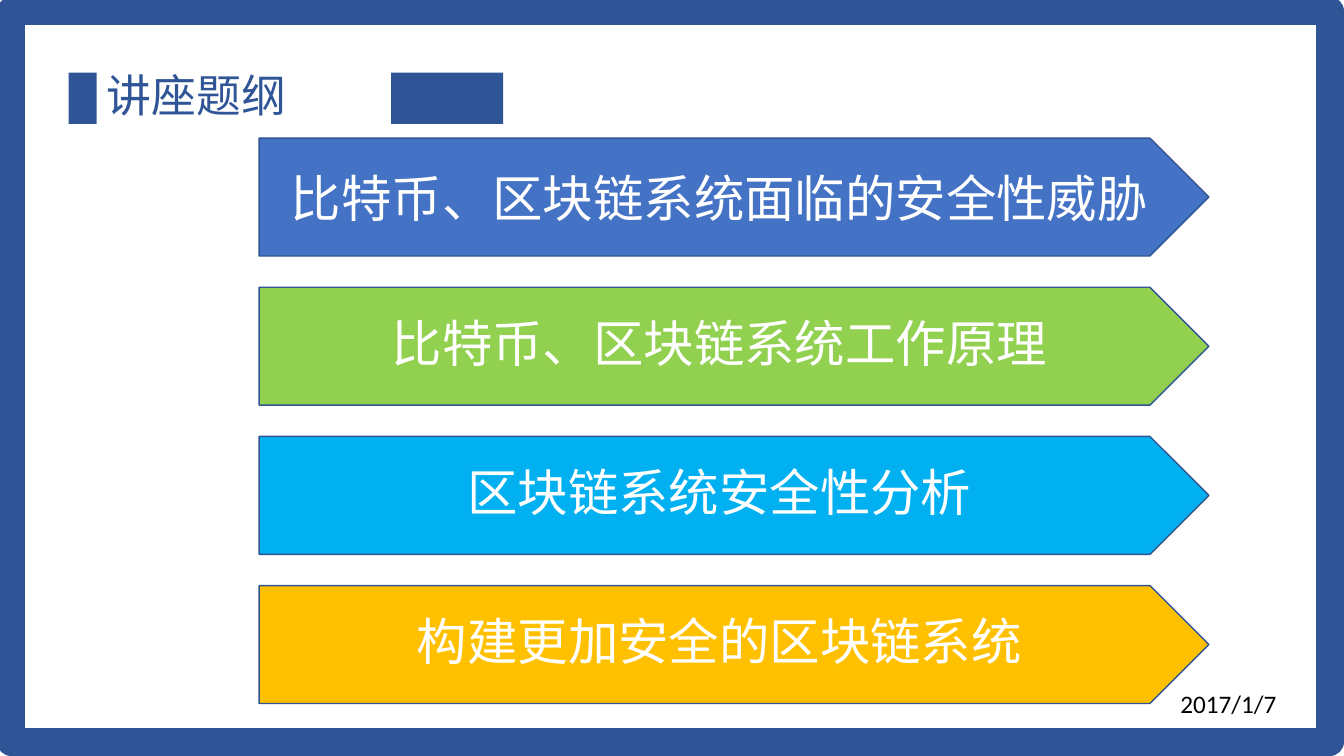
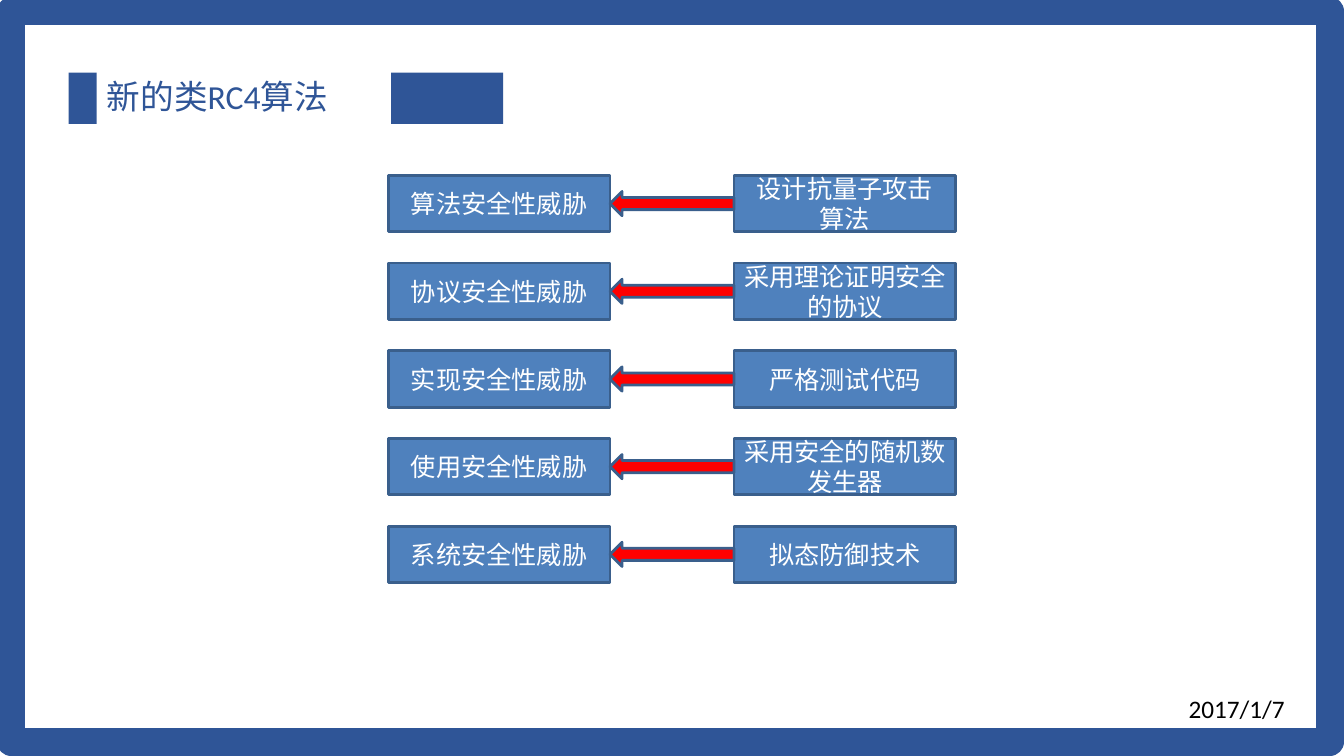
from pptx import Presentation
from pptx.dml.color import RGBColor
from pptx.enum.shapes import MSO_SHAPE
from pptx.enum.text import MSO_ANCHOR, MSO_AUTO_SIZE, PP_ALIGN
from pptx.util import Pt

SCALE = 9144  # EMU per px, 100 px to the inch


def px(*nums):
    return [num * SCALE for num in nums]


def hue(code):
    return RGBColor.from_string(code)


class Deck:
    FONT = "Calibri"
    NAVY, WHITE, BLACK = "2F5597", "FFFFFF", "000000"

    def __init__(self, wide, high):
        self.prs = Presentation()
        self.prs.slide_width, self.prs.slide_height = px(wide, high)
        self.slide = None

    def start(self, title, size, date, spot):
        """Add a slide with its frame, title bars, title and date."""
        self.slide = self.prs.slides.add_slide(self.prs.slide_layouts[5])
        for left, width in ((68, 28), (388, 111)):
            self.shape(MSO_SHAPE.RECTANGLE, (left, 72, width, 51), self.NAVY)
        self.shape(MSO_SHAPE.RECTANGLE, (11, 11, 1308, 725), None, self.NAVY, 20)

        head = self.slide.shapes.title
        head.left, head.top, head.width, head.height = px(96, 72, 292, 51)
        self.words(head.text_frame, title, size, self.NAVY, PP_ALIGN.JUSTIFY, 0.9)

        box = self.slide.shapes.add_textbox(*px(*spot, 150, 40))
        self.words(box.text_frame, date, 18, self.BLACK, PP_ALIGN.LEFT)

    def shape(self, kind, area, fill, line=None, weight=1):
        item = self.slide.shapes.add_shape(kind, *px(*area))
        item.shadow.inherit = False
        if fill:
            item.fill.solid()
            item.fill.fore_color.rgb = hue(fill)
        else:
            item.fill.background()
        if line:
            item.line.color.rgb = hue(line)
            item.line.width = Pt(weight)
        else:
            item.line.fill.background()
        return item

    def label(self, kind, area, text, size, fill, line, weight, space=1.0):
        """Add a filled shape with centred white text."""
        item = self.shape(kind, area, fill, line, weight)
        self.words(item.text_frame, text, size, self.WHITE, PP_ALIGN.CENTER, space)

    def words(self, frame, text, size, color, align, space=1.0):
        """Fill a text frame, one paragraph per line of text."""
        frame.word_wrap = True
        frame.auto_size = MSO_AUTO_SIZE.NONE
        frame.vertical_anchor = MSO_ANCHOR.MIDDLE
        for i, line in enumerate(text.split("\n")):
            para = frame.add_paragraph() if i else frame.paragraphs[0]
            para.alignment = align
            para.line_spacing = space
            run = para.add_run()
            run.text = line
            run.font.name = self.FONT
            run.font.size = Pt(size)
            run.font.color.rgb = hue(color)

    def save(self):
        self.prs.save("out.pptx")


DATE = "2017/1/7"
TOPICS = (
    ("比特币、区块链系统面临的安全性威胁", "4472C4", 1.0),
    ("比特币、区块链系统工作原理", "92D050", 0.9),
    ("区块链系统安全性分析", "00B0F0", 0.9),
    ("构建更加安全的区块链系统", "FFC000", 0.9),
)
PAIRS = (
    ("算法安全性威胁", "设计抗量子攻击\n算法"),
    ("协议安全性威胁", "采用理论证明安全的协议"),
    ("实现安全性威胁", "严格测试代码"),
    ("使用安全性威胁", "采用安全的随机数发生器"),
    ("系统安全性威胁", "拟态防御技术"),
)


def outline(deck):
    deck.start("讲座题纲", 32, DATE, (1161, 678))
    for row, (text, fill, space) in enumerate(TOPICS):
        area = (257, 137 + 148 * row, 942, 117)
        deck.label(MSO_SHAPE.PENTAGON, area, text, 36, fill, "325491", 1, space)


def threats(deck):
    deck.start("新的类RC4算法", 24, DATE, (1169, 683))
    fill, edge = "4F81BD", "3A5F8C"
    left, right, wide, high, tall = 385, 728, 220, 56, 24
    for row, pair in enumerate(PAIRS):
        top = 174 + 87 * row
        for x, text in zip((left, right), pair):
            deck.label(MSO_SHAPE.RECTANGLE, (x, top, wide, high), text, 18, fill, edge, 2)
        tip = left + wide
        area = (tip, top + (high - tall) // 2, right - tip, tall)
        deck.shape(MSO_SHAPE.LEFT_ARROW, area, "FF0000", edge, 2)


def main():
    deck = Deck(1333, 750)
    outline(deck)
    threats(deck)
    deck.save()


if __name__ == "__main__":
    main()
